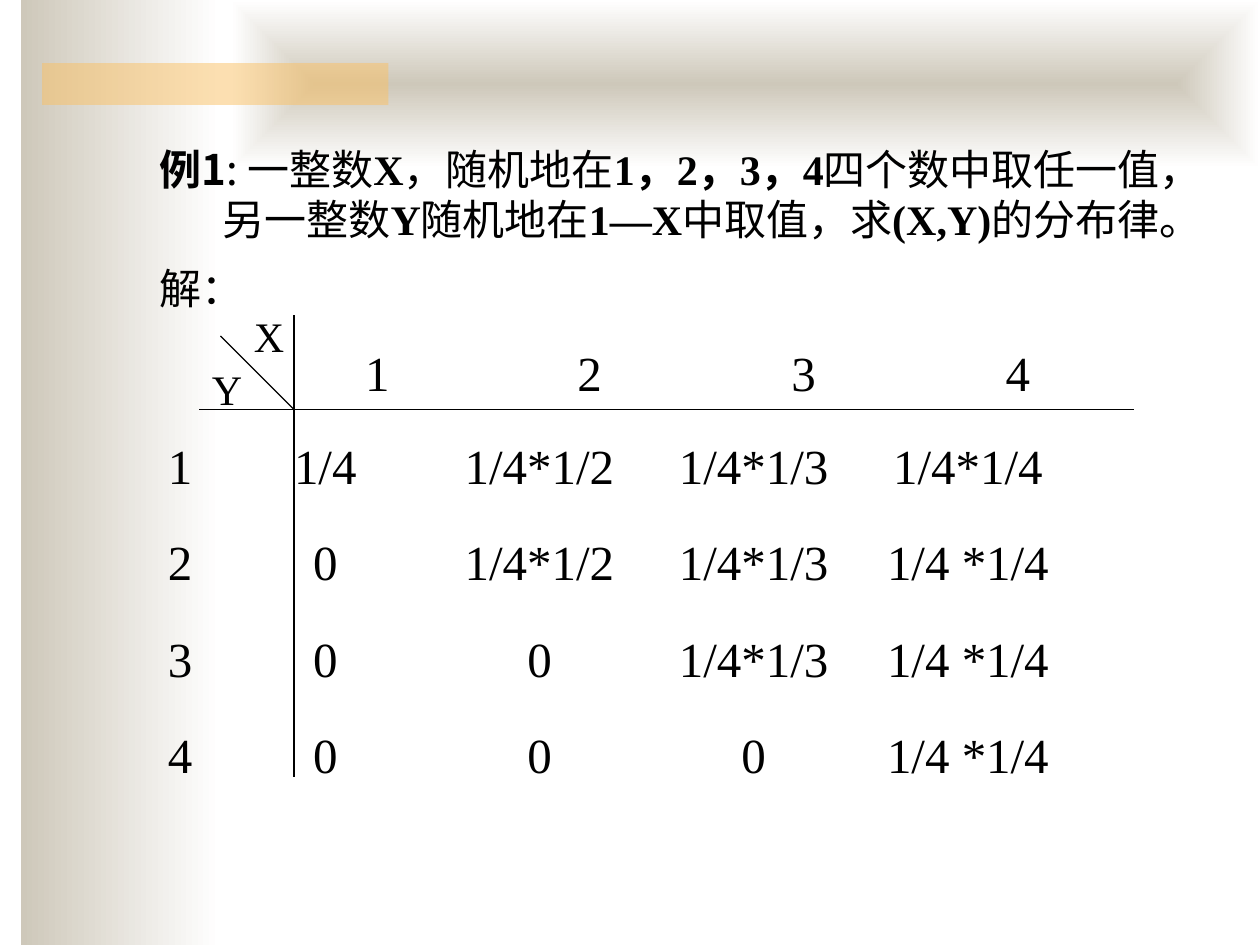
from lxml.etree import SubElement as Sub
from pptx import Presentation
from pptx.dml.color import RGBColor as RGB
from pptx.enum.shapes import MSO_CONNECTOR as Conn, MSO_SHAPE as Kind
from pptx.enum.text import MSO_ANCHOR as Anchor, MSO_AUTO_SIZE as Auto
from pptx.oxml.ns import qn
from pptx.util import Inches, Pt

# Grid of 120 columns by 90 rows, each cell 1/12 inch
COLS, ROWS = 120, 90
UNIT = Inches(1) / 12
HUES = {"ink": "000000", "sand": "CEC8BA", "white": "FFFFFF", "gold": "FAC164"}
HAN, ROMAN = "Noto Sans CJK SC", "Times New Roman"
STEP = 1.7  # inches between the centres of table columns

# Wording of the problem: text, font, bold
TASK = [
    ("例1", HAN, True), (": 一整数", HAN, False), ("X", ROMAN, True),
    ("，随机地在", HAN, False), ("1，2，3，4", ROMAN, True),
    ("四个数中取任一值，另一整数", HAN, False), ("Y", ROMAN, True),
    ("随机地在", HAN, False), ("1—X", ROMAN, True),
    ("中取值，求", HAN, False), ("(X,Y)", ROMAN, True),
    ("的分布律。", HAN, False),
]
HEAD = ["1", "2", "3", "4"]
BODY = [
    ["1", "1/4", "1/4*1/2", "1/4*1/3", "1/4*1/4"],
    ["2", "0", "1/4*1/2", "1/4*1/3", "1/4 *1/4"],
    ["3", "0", "0", "1/4*1/3", "1/4 *1/4"],
    ["4", "0", "0", "0", "1/4 *1/4"],
]


def grid(*cells):
    return [round(n * UNIT) for n in cells]


def hue(name):
    return RGB.from_string(HUES[name])


def style(run, size, face=ROMAN, bold=False):
    font = run.font
    font.size, font.name, font.bold = Pt(size), face, bold
    font.color.rgb = hue("ink")
    Sub(run._r.get_or_add_rPr(), qn("a:ea"), typeface=HAN)


def panel(shapes, box):
    part = shapes.add_shape(Kind.RECTANGLE, *grid(*box))
    part.shadow.inherit = False
    part.line.fill.background()
    return part


def fade(shapes, box, inward=False):
    part = panel(shapes, box)
    part.fill.gradient()
    part.fill.gradient_angle = 0
    for stop, name in zip(part.fill.gradient_stops, ("sand", "white")):
        stop.color.rgb = hue(name)
    if inward:
        grad = part._element.spPr.find(qn("a:gradFill"))
        grad.remove(grad.find(qn("a:lin")))
        route = Sub(grad, qn("a:path"), path="rect")
        Sub(route, qn("a:fillToRect"), l="50000", t="50000", r="50000", b="50000")


def decor(shapes):
    # Side band, top band and gold bar
    fade(shapes, (2, 0, 19, ROWS))
    fade(shapes, (22, 0, COLS - 22, 16), inward=True)
    bar = panel(shapes, (4, 6, 33, 4))
    bar.fill.solid()
    bar.fill.fore_color.rgb = hue("gold")
    tint = bar._element.spPr.find(qn("a:solidFill"))[0]
    Sub(tint, qn("a:alpha"), val="50000")


def task(slide, box):
    # Problem text, in front of the bands
    body = slide.placeholders[1]
    slide.shapes._spTree.append(body._element)
    body.left, body.top, body.width, body.height = grid(*box)
    frame = body.text_frame
    frame.auto_size, frame.vertical_anchor = Auto.NONE, Anchor.TOP
    for row, (parts, gap) in enumerate([(TASK, 6), ([("解：", HAN, False)], 10)]):
        para = frame.add_paragraph() if row else frame.paragraphs[0]
        para.line_spacing, para.space_before = Pt(29), Pt(gap)
        props = para._p.get_or_add_pPr()
        props.set("marL", str(Inches(0.5)))
        props.set("indent", str(-Inches(0.5)))
        Sub(props, qn("a:buNone"))
        for text, face, bold in parts:
            run = para.add_run()
            run.text = text
            style(run, 24, face, bold)


def label(shapes, box, text, size, wrap=True):
    frame = shapes.add_textbox(*grid(*box)).text_frame
    frame.word_wrap = wrap
    frame.text = text
    for para in frame.paragraphs:
        for run in para.runs:
            style(run, size)
    return frame


def rule(shapes, *ends):
    line = shapes.add_connector(Conn.STRAIGHT, *grid(*ends))
    line.line.color.rgb, line.line.width = hue("ink"), Pt(0.75)
    Sub(line._element.spPr, qn("a:effectLst"))


def frame_lines(slide, box):
    # Axes of the table with the split corner cell
    left, top, wide, high = box
    x, y = left + 9, top + 9
    parts = slide.shapes.add_group_shape().shapes
    rule(parts, x, top, x, top + high)
    rule(parts, left, y, left + wide, y)
    rule(parts, x, y, x - 7, y - 7)
    label(parts, (left + 4, top - 1, 5.3, 6), "X", 24, wrap=False)
    label(parts, (left, top + 4, 5.3, 6), "Y", 24, wrap=False)


def cells(slide, box, rows, first):
    # Rows of values on centred tab stops
    lines = "\n".join("\t".join(row) for row in rows)
    frame = label(slide.shapes, box, lines, 28)
    for n, para in enumerate(frame.paragraphs):
        if len(rows) > 1:
            para.line_spacing = 0.8
            para.space_before = Pt(28 if n else 0)
        tabs = Sub(para._p.get_or_add_pPr(), qn("a:tabLst"))
        for col in range(len(rows[0]) - 1):
            Sub(tabs, qn("a:tab"), pos=str(Inches(first + col * STEP)), algn="ctr")


def main():
    deck = Presentation()
    deck.slide_width, deck.slide_height = grid(COLS, ROWS)
    slide = deck.slides.add_slide(deck.slide_layouts[1])
    title = slide.shapes.title._element
    title.getparent().remove(title)
    decor(slide.shapes)
    task(slide, (14, 13, 102, 24))
    frame_lines(slide, (19, 30, 89, 44))
    cells(slide, (33.6, 32, 68, 7), [HEAD], 1.78)
    cells(slide, (14.8, 42, 97, 33), BODY, 1.25)
    deck.save("out.pptx")


if __name__ == "__main__":
    main()
